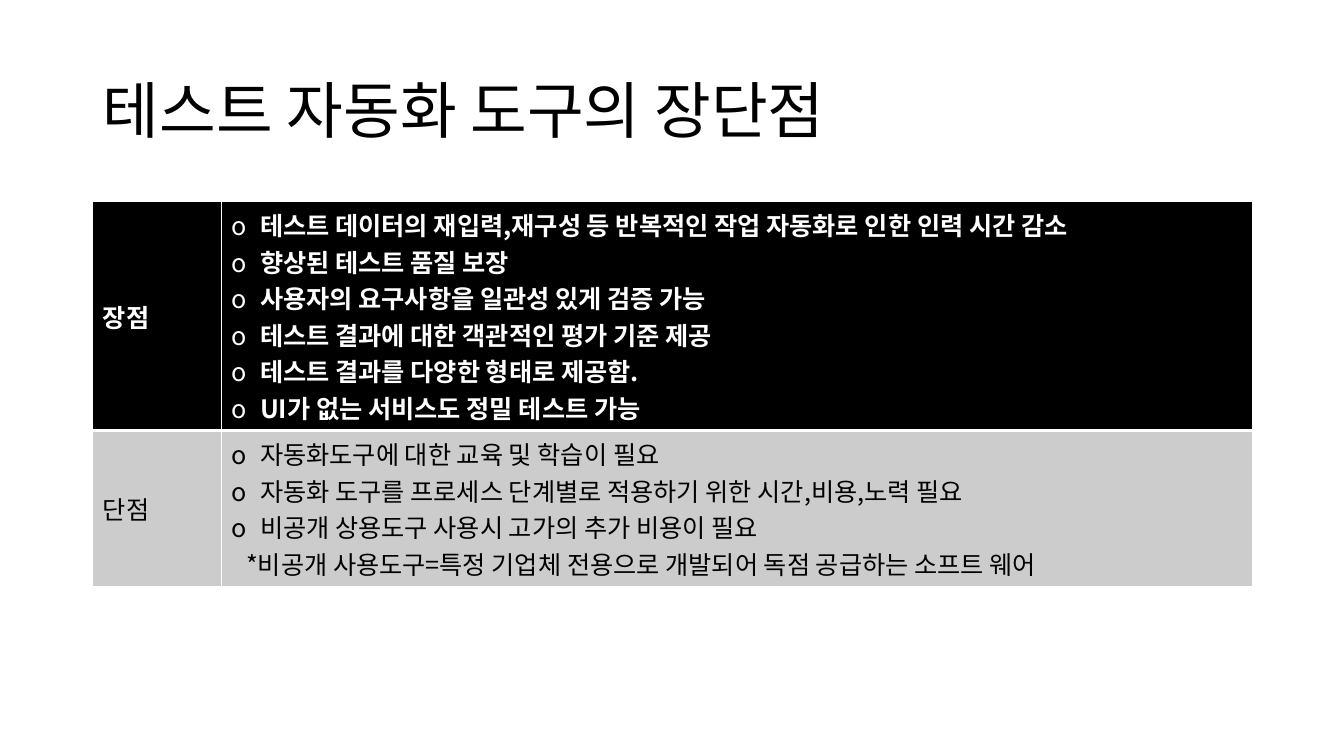
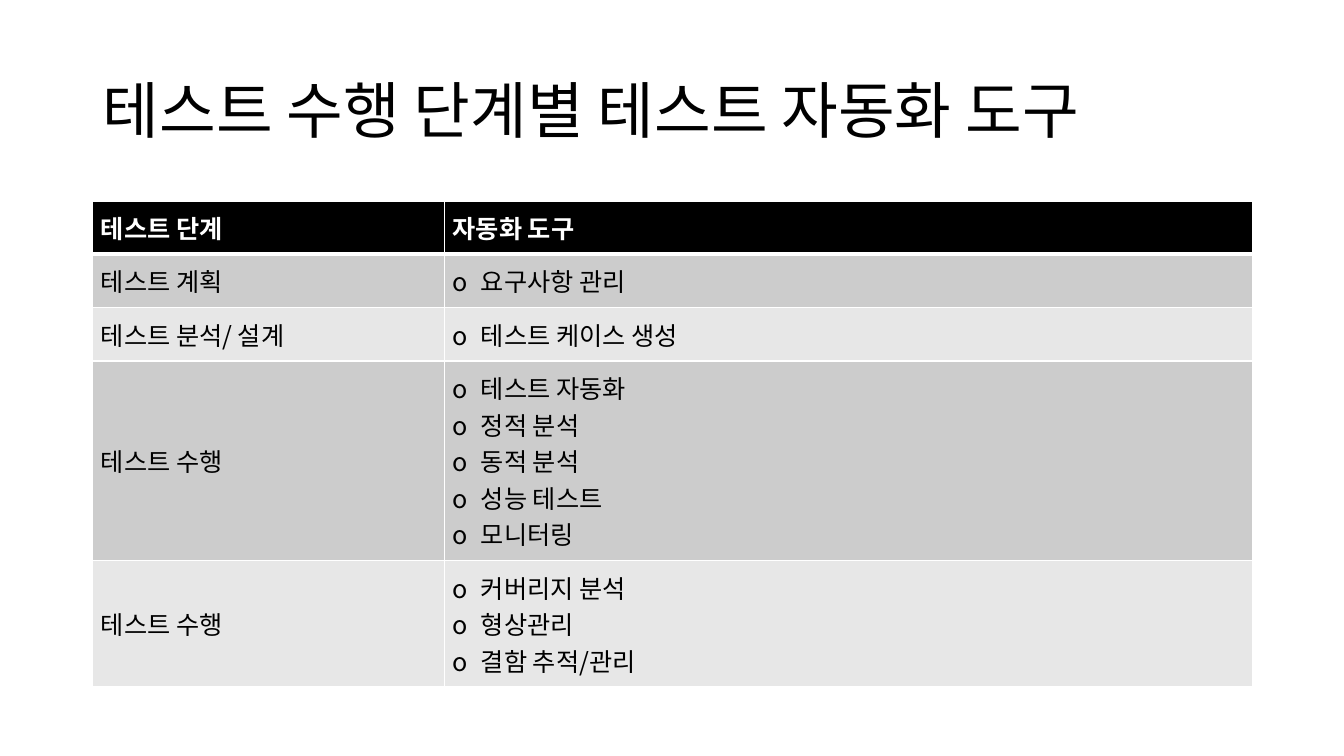
from lxml import etree
from pptx import Presentation
from pptx.dml.color import RGBColor
from pptx.enum.text import MSO_ANCHOR, MSO_AUTO_SIZE, PP_ALIGN
from pptx.oxml.ns import qn
from pptx.util import Inches, Pt

MIDDLE = MSO_ANCHOR.MIDDLE
LEFT = PP_ALIGN.LEFT
NO_AUTOFIT = MSO_AUTO_SIZE.NONE

# Shared style
FONT = "Noto Sans CJK KR"
BLACK = RGBColor(0x00, 0x00, 0x00)
WHITE = RGBColor(0xFF, 0xFF, 0xFF)
DARK_BAND = RGBColor(0xCC, 0xCC, 0xCC)
LIGHT_BAND = RGBColor(0xE7, 0xE7, 0xE7)
CONTENT_LEFT = Inches(0.92)
CONTENT_WIDTH = Inches(11.5)
TABLE_TOP = Inches(2)
BULLET = "o"
BULLET_INDENT = Inches(0.28)
NOTE_MARK = "*"
NOTE_INDENT = Inches(0.14)
TITLE_ONLY_LAYOUT = 5

# Rows: label, lines of the right-hand cell, height in inches
PROS_AND_CONS = [
    ("장점", [
        "o 테스트 데이터의 재입력,재구성 등 반복적인 작업 자동화로 인한 인력 시간 감소",
        "o 향상된 테스트 품질 보장",
        "o 사용자의 요구사항을 일관성 있게 검증 가능",
        "o 테스트 결과에 대한 객관적인 평가 기준 제공",
        "o 테스트 결과를 다양한 형태로 제공함.",
        "o UI가 없는 서비스도 정밀 테스트 가능",
    ], 2.26),
    ("단점", [
        "o 자동화도구에 대한 교육 및 학습이 필요",
        "o 자동화 도구를 프로세스 단계별로 적용하기 위한 시간,비용,노력 필요",
        "o 비공개 상용도구 사용시 고가의 추가 비용이 필요",
        "*비공개 사용도구=특정 기업체 전용으로 개발되어 독점 공급하는 소프트 웨어",
    ], 1.54),
]
TOOLS_BY_STAGE = [
    ("테스트 단계", ["자동화 도구"], 0.52),
    ("테스트 계획", ["o 요구사항 관리"], 0.53),
    ("테스트 분석/ 설계", ["o 테스트 케이스 생성"], 0.53),
    ("테스트 수행", ["o 테스트 자동화", "o 정적 분석", "o 동적 분석",
                "o 성능 테스트", "o 모니터링"], 1.98),
    ("테스트 수행", ["o 커버리지 분석", "o 형상관리", "o 결함 추적/관리"], 1.25),
]


def style_paragraph(paragraph, size, color, bold=False):
    font = paragraph.font
    font.size = Pt(size)
    font.bold = bold
    font.color.rgb = color
    font.name = FONT
    # Hangul takes its typeface from the East Asian slot
    properties = paragraph._p.get_or_add_pPr().find(qn("a:defRPr"))
    etree.SubElement(properties, qn("a:ea"), typeface=FONT)


def indent_paragraph(paragraph, left, bullet=None):
    properties = paragraph._p.get_or_add_pPr()
    properties.set("marL", str(left))
    properties.set("indent", str(-left if bullet else 0))
    if bullet:
        etree.SubElement(properties, qn("a:buFont"), typeface=FONT)
        etree.SubElement(properties, qn("a:buChar"), char=bullet)


def add_titled_slide(presentation, text):
    slide = presentation.slides.add_slide(presentation.slide_layouts[TITLE_ONLY_LAYOUT])
    title = slide.shapes.title
    title.left, title.top = CONTENT_LEFT, Inches(0.4)
    title.width, title.height = CONTENT_WIDTH, Inches(1.45)
    frame = title.text_frame
    frame.text = text
    frame.vertical_anchor = MIDDLE
    frame.auto_size = NO_AUTOFIT
    paragraph = frame.paragraphs[0]
    paragraph.alignment = LEFT
    paragraph.line_spacing = 0.9
    style_paragraph(paragraph, 44, BLACK)
    return slide


def set_borders(cell, top, bottom):
    properties = cell._tc.get_or_add_tcPr()
    for side, width in (("L", 1), ("R", 1), ("T", top), ("B", bottom)):
        line = etree.SubElement(properties, qn(f"a:ln{side}"), w=str(Pt(width)))
        fill = etree.SubElement(line, qn("a:solidFill"))
        etree.SubElement(fill, qn("a:srgbClr"), val=str(WHITE))


def fill_cell(cell, lines, color, bold):
    cell.vertical_anchor = MIDDLE
    frame = cell.text_frame
    for index, line in enumerate(lines):
        paragraph = frame.add_paragraph() if index else frame.paragraphs[0]
        if line.startswith(BULLET + " "):
            paragraph.text = line[len(BULLET) + 1:]
            indent_paragraph(paragraph, BULLET_INDENT, BULLET)
        else:
            paragraph.text = line
            if line.startswith(NOTE_MARK):
                indent_paragraph(paragraph, NOTE_INDENT)
        style_paragraph(paragraph, 18, color, bold)


def add_banded_table(slide, rows, label_width, margin=None):
    height = Inches(sum(row[2] for row in rows))
    table = slide.shapes.add_table(
        len(rows), 2, CONTENT_LEFT, TABLE_TOP, CONTENT_WIDTH, height).table
    table.first_row = table.horz_banding = False
    table.columns[0].width = label_width
    table.columns[1].width = CONTENT_WIDTH - label_width
    for index, (label, lines, row_height) in enumerate(rows):
        table.rows[index].height = Inches(row_height)
        header = index == 0
        band = BLACK if header else DARK_BAND if index % 2 else LIGHT_BAND
        for cell, content in zip(table.rows[index].cells, ([label], lines)):
            set_borders(cell, top=3 if index == 1 else 1, bottom=3 if header else 1)
            cell.fill.solid()
            cell.fill.fore_color.rgb = band
            if margin is not None:
                cell.margin_left = cell.margin_right = margin
                cell.margin_top = cell.margin_bottom = margin
            fill_cell(cell, content, WHITE if header else BLACK, header)


def main():
    presentation = Presentation()
    presentation.slide_width = Inches(13.33)
    presentation.slide_height = Inches(7.5)

    # Pros and cons
    slide = add_titled_slide(presentation, "테스트 자동화 도구의 장단점")
    add_banded_table(slide, PROS_AND_CONS, Inches(1.28))

    # Tools for each test stage
    slide = add_titled_slide(presentation, "테스트 수행 단계별 테스트 자동화 도구")
    add_banded_table(slide, TOOLS_BY_STAGE, Inches(3.49), Inches(0.08))

    presentation.save("out.pptx")


if __name__ == "__main__":
    main()
